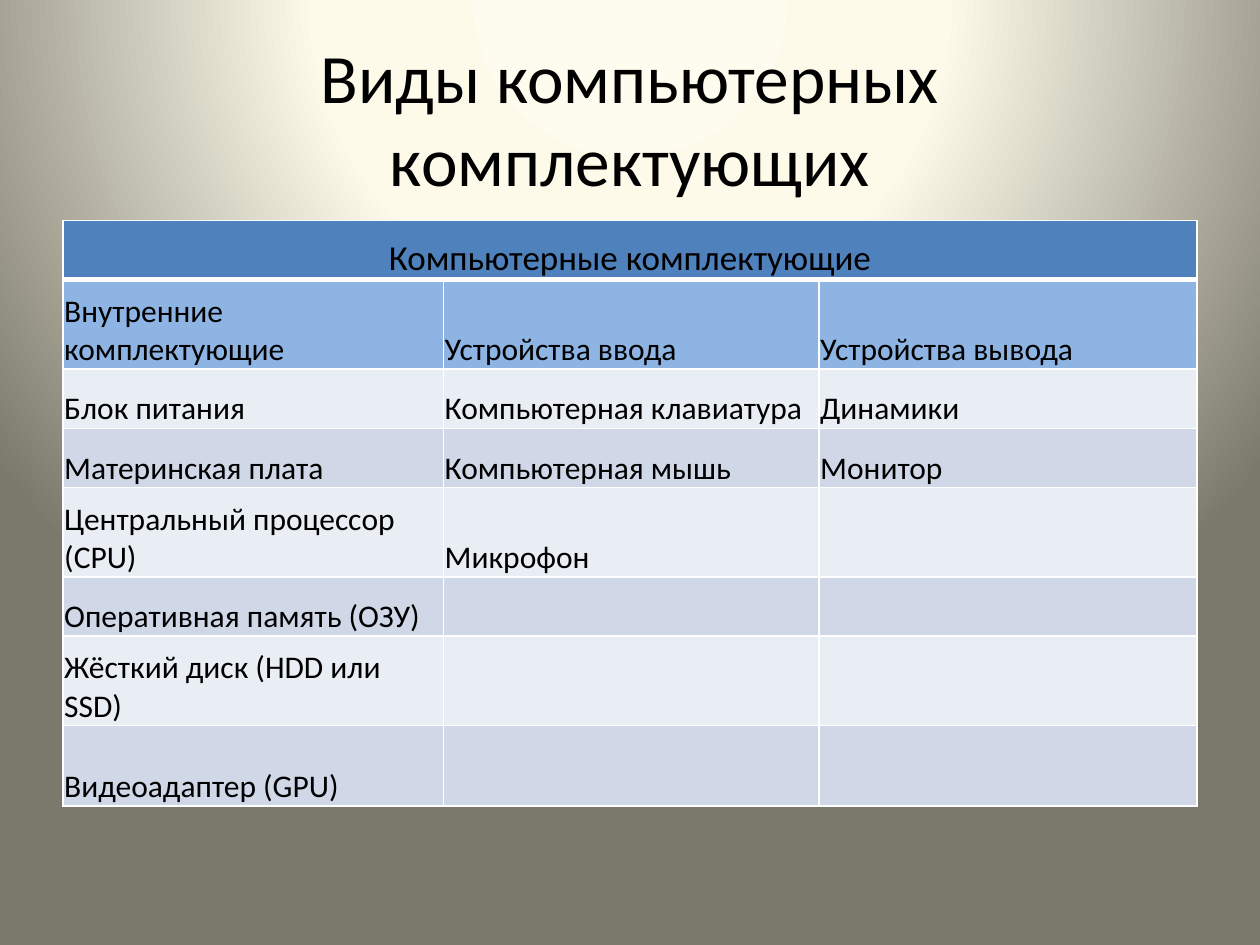
"""Build a slide with a titled table of computer parts."""
from pptx import Presentation
from pptx.dml.color import RGBColor as Rgb
from pptx.enum.text import MSO_ANCHOR as Anchor, PP_ALIGN as Align
from pptx.oxml import parse_xml as to_xml
from pptx.util import Inches, Pt

BLACK = Rgb(0, 0, 0)
WHITE = Rgb(255, 255, 255)
HEAD = Rgb(0x4F, 0x81, 0xBD)
SUB = Rgb(0x8E, 0xB4, 0xE3)
PALE = Rgb(0xE9, 0xED, 0xF4)
DARK = Rgb(0xD0, 0xD8, 0xE8)
CREAM = Rgb(0xFE, 0xFC, 0xEE)
IVORY = Rgb(0xFD, 0xFA, 0xEA)
OLIVE = Rgb(0x7B, 0x79, 0x6B)
MAIN = "http://schemas.openxmlformats.org/drawingml/2006/main"
PRES = "http://schemas.openxmlformats.org/presentationml/2006/main"


def write(frame, words, size=18, align=Align.LEFT, color=BLACK):
    frame.word_wrap = True
    para = frame.paragraphs[0]
    para.alignment = align
    run = para.add_run()
    run.text = words
    run.font.size = Pt(size)
    run.font.name = "Calibri"
    run.font.color.rgb = color


def edge(side, width):
    return to_xml(
        f'<a:ln{side} xmlns:a="{MAIN}" w="{Pt(width)}"><a:solidFill>'
        f'<a:srgbClr val="{WHITE}"/></a:solidFill></a:ln{side}>')


deck = Presentation()
deck.slide_width, deck.slide_height = Inches(10), Inches(7.5)
col, row = deck.slide_width // 500, deck.slide_height // 750
slide = deck.slides.add_slide(deck.slide_layouts[6])

stops = "".join(
    f'<a:gs pos="{pos * 1000}"><a:srgbClr val="{tint}"/></a:gs>'
    for pos, tint in ((0, CREAM), (40, IVORY), (100, OLIVE)))
slide._element.cSld.insert(0, to_xml(
    f'<p:bg xmlns:p="{PRES}" xmlns:a="{MAIN}"><p:bgPr>'
    f'<a:gradFill rotWithShape="1"><a:gsLst>{stops}</a:gsLst>'
    '<a:path path="circle"><a:fillToRect l="50000" t="-80000" r="50000" b="180000"/>'
    '</a:path></a:gradFill><a:effectLst/></p:bgPr></p:bg>'))

title = slide.shapes.add_textbox(25 * col, 30 * row, 450 * col, 126 * row).text_frame
title.vertical_anchor = Anchor.MIDDLE
write(title, "Виды компьютерных комплектующих", size=39.6, align=Align.CENTER)

rows = [
    ("Компьютерные комплектующие", "", ""),
    ("Внутренние комплектующие", "Устройства ввода", "Устройства вывода"),
    ("Блок питания", "Компьютерная клавиатура", "Динамики"),
    ("Материнская плата", "Компьютерная мышь", "Монитор"),
    ("Центральный процессор (CPU)", "Микрофон", ""),
    ("Оперативная память (ОЗУ)", "", ""),
    ("Жёсткий диск (HDD или SSD)", "", ""),
    ("Видеоадаптер (GPU)", "", ""),
]
wide = (151, 149, 150)
high = (47, 71, 47, 47, 71, 47, 71, 64)
fills = [HEAD, SUB] + [PALE, DARK] * 3

grid = slide.shapes.add_table(
    len(rows), len(wide), 25 * col, 175 * row, sum(wide) * col, sum(high) * row).table
for part, size in zip(grid.columns, wide):
    part.width = size * col
for part, size in zip(grid.rows, high):
    part.height = size * row
grid.cell(0, 0).merge(grid.cell(0, 2))

for r, line in enumerate(rows):
    for c, words in enumerate(line):
        cell = grid.cell(r, c)
        cell.fill.solid()
        cell.fill.fore_color.rgb = fills[r]
        cell.vertical_anchor = Anchor.BOTTOM
        cell.margin_left = cell.margin_right = cell.margin_top = row
        cell.margin_bottom = 0
        for n, side in enumerate("LRTB"):
            thick = (r, side) in ((0, "B"), (1, "T"))
            cell._tc.tcPr.insert(n, edge(side, 3 if thick else 1))
        if words:
            write(cell.text_frame, words, size=18 if r else 20,
                  align=Align.LEFT if r else Align.CENTER)

deck.save("out.pptx")
